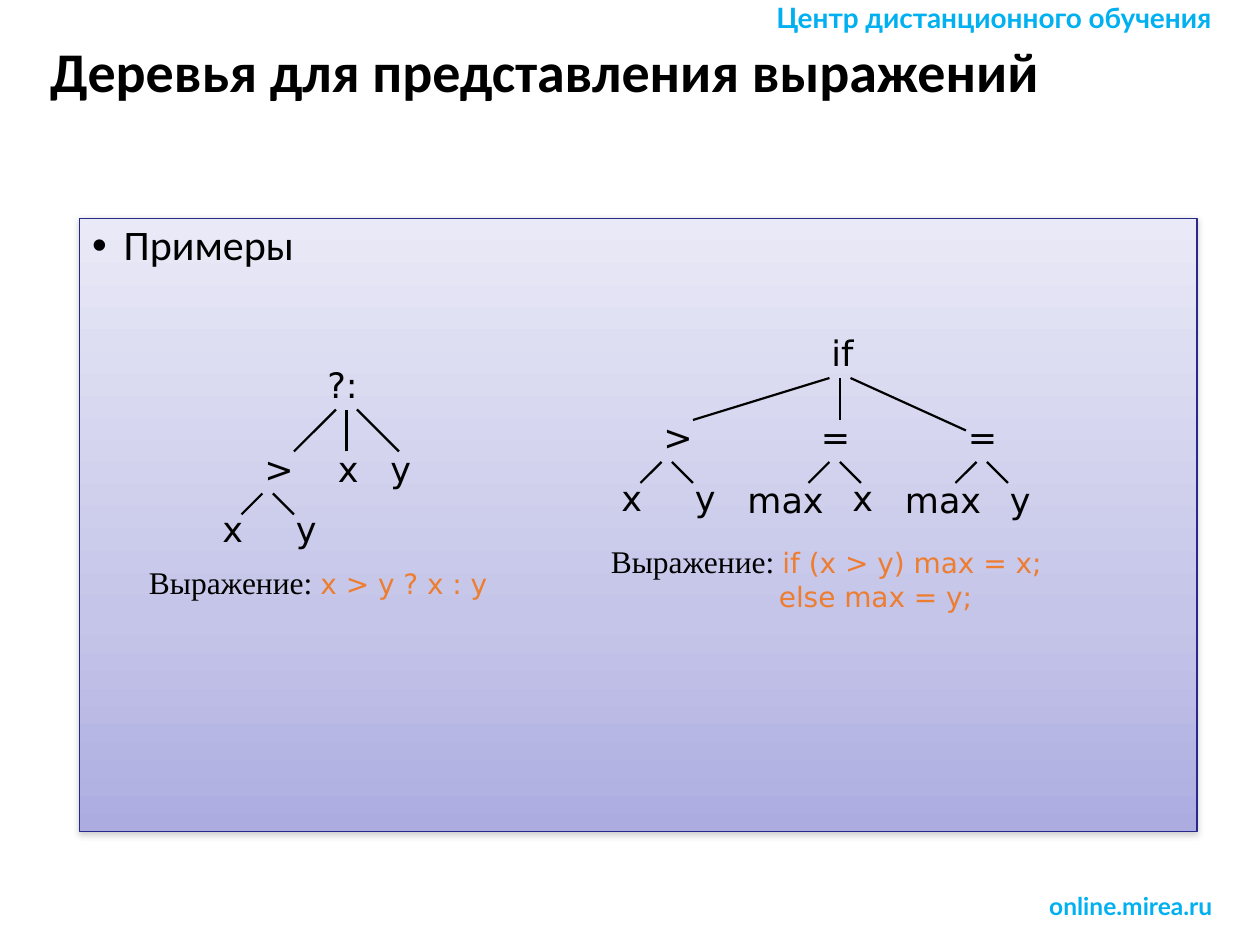
"""Build a slide with two expression trees and the expressions they stand for."""
from copy import deepcopy
from lxml import etree
from pptx import Presentation
from pptx.dml.color import RGBColor
from pptx.enum import shapes, text
from pptx.oxml import parse_xml, ns
from pptx.util import Pt

BLACK = RGBColor(0x00, 0x00, 0x00)
BLUE = RGBColor(0x00, 0xB0, 0xF0)
CODE = RGBColor(0xED, 0x7D, 0x31)
EDGE = RGBColor(0x29, 0x29, 0x89)
STOPS = [(0, RGBColor(0xE9, 0xE9, 0xF7)), (0.65, RGBColor(0xC5, 0xC5, 0xE9)),
         (1, RGBColor(0xAC, 0xAC, 0xE1))]
SANS = "DejaVu Sans"


def write(para, words, face, size, color, bold=False):
    run = para.add_run()
    run.text = words
    run.font.name, run.font.size, run.font.bold = face, Pt(size), bold
    run.font.color.rgb = color


def add_box(home, left, top, width, height):
    box = home.add_textbox(Pt(left), Pt(top), Pt(width), Pt(height))
    box.text_frame.word_wrap = True
    return box.text_frame.paragraphs[0]


deck = Presentation()
deck.slide_width, deck.slide_height = Pt(720), Pt(540)
slide = deck.slides.add_slide(deck.slide_layouts[1])

para = add_box(slide.shapes, 436.5, -3.5, 283.5, 26.5)
write(para, "Центр дистанционного обучения", "Lato", 16, BLUE, True)
para = add_box(slide.shapes, 592.5, 505.5, 116, 24.5)
write(para, "online.mirea.ru", "Lato", 14, BLUE, True)

title, body = slide.shapes.title, slide.placeholders[1]
for shape, left, top, width, height in [(title, 21.5, 21.5, 662.5, 49.5),
                                        (body, 45.5, 124.75, 638.5, 350.5)]:
    shape.left, shape.top = Pt(left), Pt(top)
    shape.width, shape.height = Pt(width), Pt(height)
    frame = shape.text_frame
    frame.auto_size = text.MSO_AUTO_SIZE.NONE
    frame.vertical_anchor = text.MSO_ANCHOR.TOP
    para = frame.paragraphs[0]
    para.alignment = text.PP_ALIGN.LEFT
    para.line_spacing, para.space_before = 0.9, Pt(0)

write(title.text_frame.paragraphs[0], "Деревья для представления выражений",
      "Calibri", 32, BLACK, True)

para = body.text_frame.paragraphs[0]
props = para._p.get_or_add_pPr()
props.set("marL", str(Pt(18)))
props.set("indent", str(Pt(-18)))
etree.SubElement(props, ns.qn("a:buFont")).set("typeface", "Arial")
etree.SubElement(props, ns.qn("a:buChar")).set("char", "•")
write(para, "Примеры", "Calibri", 24, BLACK)

body.line.color.rgb, body.line.width = EDGE, Pt(0.75)
body.fill.gradient()
body.fill.gradient_angle = 270
grad = body._element.spPr.find(".//" + ns.qn("a:gsLst"))
grad.append(deepcopy(grad[0]))
for stop, (place, color) in zip(body.fill.gradient_stops, STOPS):
    stop.position, stop.color.rgb = place, color
body._element.spPr.append(parse_xml(
    f'<a:effectLst {ns.nsdecls("a")}><a:outerShdw blurRad="{Pt(3.1)}" '
    f'dist="{Pt(1.6)}" dir="5400000" rotWithShape="0"><a:srgbClr val="808080">'
    '<a:alpha val="38000"/></a:srgbClr></a:outerShdw></a:effectLst>'))

TREES = [
    ([("?:", 180, 204), (">", 144, 252), ("x", 186, 252), ("y", 216, 252),
      ("x", 120, 286.5), ("y", 162, 286.5)],
     [(168, 258, 192, 234), (198, 258, 198, 234), (204, 234, 228, 258),
      (150, 282, 138, 294), (156, 282, 168, 294)],
     (78, 318, 240, 29), ["x > y ? x : y"]),
    ([("if", 468, 186), (">", 372, 234), ("=", 462, 234), ("=", 546, 234),
      ("x", 348, 268.5), ("y", 390, 268.5), ("max", 420, 270),
      ("x", 480, 268.5), ("max", 510, 270), ("y", 570, 270)],
     [(396, 240, 474, 216), (480, 216, 480, 240), (486, 216, 552, 246),
      (378, 264, 366, 276), (384, 264, 396, 276),
      (474, 264, 462, 276), (480, 264, 492, 276),
      (558, 264, 546, 276), (564, 264, 576, 276)],
     (342, 306, 288, 48), ["if (x > y) max = x;", "else max = y;"]),
]
for nodes, links, place, code in TREES:
    tree = slide.shapes.add_group_shape().shapes
    for name, left, top in nodes:
        para = add_box(tree, left, top, 60 if name == "max" else 36, 31)
        write(para, name, SANS, 20, BLACK)
    for ends in links:
        link = tree.add_connector(shapes.MSO_CONNECTOR.STRAIGHT, *map(Pt, ends))
        link.line.color.rgb, link.line.width = BLACK, Pt(1.25)
        etree.SubElement(link._element.spPr, ns.qn("a:effectLst"))
    para = add_box(tree, *place)
    props = para._p.get_or_add_pPr()
    props.set("marL", str(Pt(96)))
    props.set("indent", str(Pt(-96)))
    write(para, "Выражение: ", "Times New Roman", 18, BLACK)
    for row, words in enumerate(code):
        if row:
            para.add_line_break()
        write(para, words, SANS, 16, CODE)

deck.save("out.pptx")
